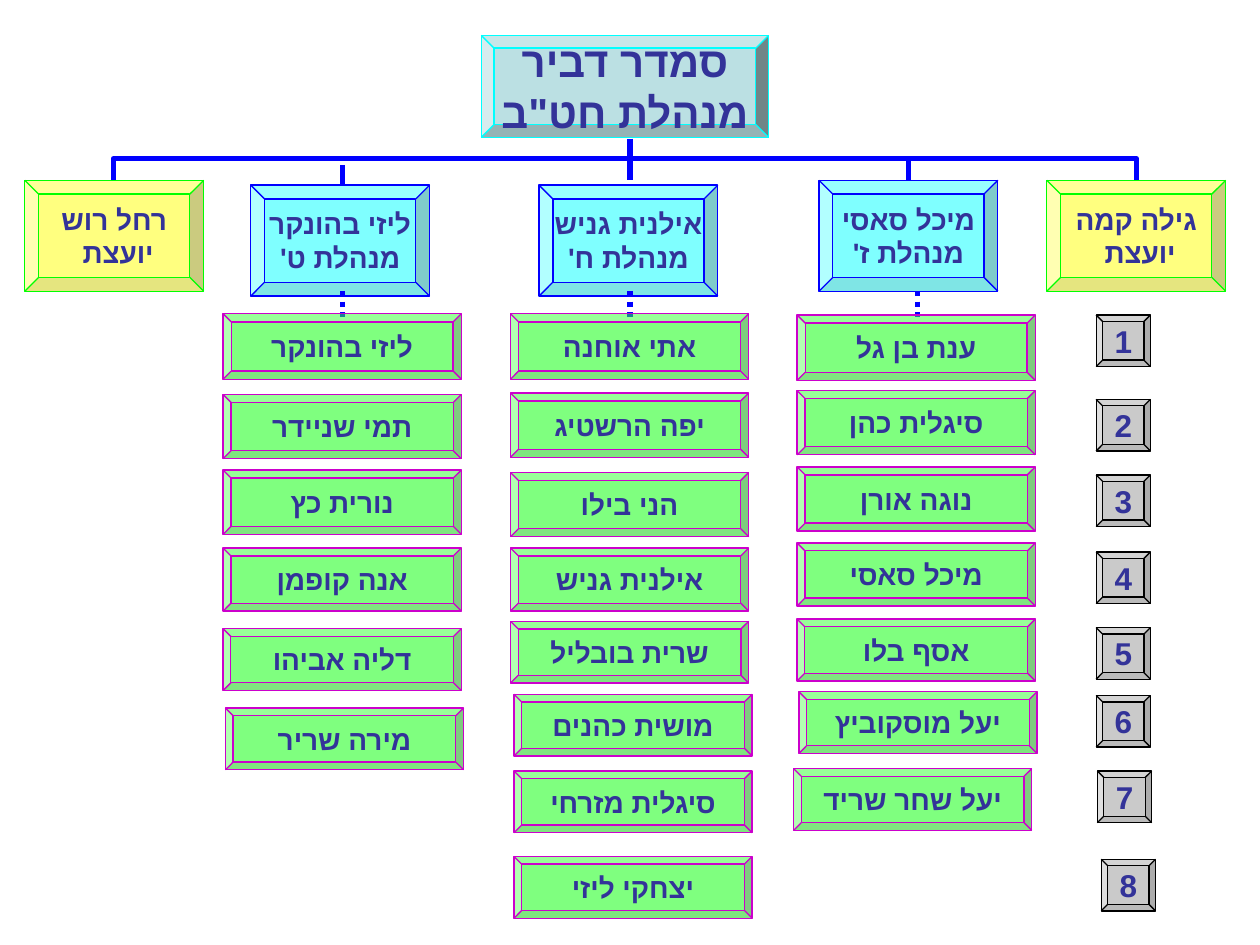
"""Builds an organisation chart of a middle school's staff, one column per grade."""
from pptx import Presentation
from pptx.dml.color import RGBColor
from pptx.enum.dml import MSO_LINE
from pptx.enum.shapes import MSO_CONNECTOR, MSO_SHAPE
from pptx.enum.text import MSO_ANCHOR, PP_ALIGN
from pptx.oxml.ns import qn
from pptx.util import Pt
from lxml.etree import SubElement

FONT, TEXT, BLUE = "Arial", "333399", "0000FF"

HEAD = ["סמדר דביר", "מנהלת חט\"ב"]
MANAGERS = [
    (["מיכל סאסי", "מנהלת ז'"], 468, 103),
    (["ליזי בהונקר", "מנהלת ט'"], 143.3, 105.8),
    (["אילנית גניש", "מנהלת ח'"], 308, 105.8),
]
COUNSELORS = [
    (["גילה קמה", "יועצת "], 598.2, 103),
    (["רחל רוש", "יועצת "], 14.2, 103),
]
TEACHERS = [
    (127.5,
     ["ליזי בהונקר", "תמי שניידר", "נורית כץ", "אנה קופמן", "דליה אביהו", "מירה שריר"],
     [179.3, 225.4, 268.6, 313.2, 359.3, 404.6],
     {5: 1.3}),
    (291.7,
     ["אתי אוחנה", "יפה הרשטיג", "הני בילו", "אילנית גניש", "שרית בובליל",
      "מושית כהנים", "סיגלית מזרחי", "יצחקי ליזי"],
     [179.3, 224.6, 270, 313.2, 355, 396.7, 440.6, 489.4],
     {5: 2, 6: 2, 7: 2}),
    (455.5,
     ["ענת בן גל", "סיגלית כהן", "נוגה אורן", "מיכל סאסי", "אסף בלו",
      "יעל מוסקוביץ", "יעל שחר שריד"],
     [180, 223.2, 266.8, 310.3, 353.8, 395.3, 439.2],
     {5: 1, 6: -2}),
]
TEACHER_HEIGHTS = [37.4, 36.7, 36.7, 36, 35.3, 35.3, 35.3, 35.3]
NUMBER_LEFT = 626.4
NUMBER_TOPS = [180, 228.2, 271.4, 315.4, 358.6, 397.4, 440.6, 491]
NUMBER_SHIFTS = {6: 0.7, 7: 2.9}

RAIL = 90.7
ELBOWS = [(361.4, 64.8), (360, 649.4)]
STEMS = [(360, 79.2, 103), (519.1, 92.2, 103), (195.8, 94.3, 105.1)]
DOTTED_STEMS = [(x, 166.3, 181.4) for x in (195.8, 360, 524.2)]


def rgb(color):
    """Turn a hex string into a colour."""
    return RGBColor.from_string(color)


def add_box(slide, lines, left, top, width, height, fill, edge, size=16, alpha=50):
    """Add a bevelled box with centred right-to-left text."""
    s = slide.shapes.add_shape(MSO_SHAPE.BEVEL, Pt(left), Pt(top), Pt(width), Pt(height))
    s.shadow.inherit = False
    s.fill.solid()
    s.fill.fore_color.rgb = rgb(fill)
    if alpha < 100:
        clr = s.fill._xPr.find(qn("a:solidFill"))[0]
        SubElement(clr, qn("a:alpha")).set("val", str(alpha * 1000))
    s.line.color.rgb = rgb(edge)
    s.line.width = Pt(0.75)
    tf = s.text_frame
    tf.word_wrap = False
    tf.vertical_anchor = MSO_ANCHOR.MIDDLE
    for i, line in enumerate(lines):
        p = tf.add_paragraph() if i else tf.paragraphs[0]
        p.alignment = PP_ALIGN.CENTER
        p._p.get_or_add_pPr().set("rtl", "1")
        r = p.add_run()
        r.text = line
        r.font.name, r.font.size, r.font.bold = FONT, Pt(size), True
        r.font.color.rgb = rgb(TEXT)
        SubElement(r._r.get_or_add_rPr(), qn("a:cs")).set("typeface", FONT)


def add_line(slide, x1, y1, x2, y2, kind=MSO_CONNECTOR.STRAIGHT, dash=None):
    """Add a thick blue connector without a shadow."""
    s = slide.shapes.add_connector(kind, Pt(x1), Pt(y1), Pt(x2), Pt(y2))
    s.line.color.rgb = rgb(BLUE)
    s.line.width = Pt(3)
    if dash:
        s.line.dash_style = dash
    spPr = s._element.spPr
    SubElement(spPr, qn("a:effectLst"))
    if kind == MSO_CONNECTOR.ELBOW:
        spPr.find(qn("a:prstGeom")).set("prst", "bentConnector2")


def main():
    """Draw the chart and save it."""
    prs = Presentation()
    prs.slide_width, prs.slide_height = Pt(720), Pt(540)
    slide = prs.slides.add_slide(prs.slide_layouts[6])

    add_box(slide, HEAD, 275, 20.2, 164.2, 58.3, "BBE0E3", "00FFFF", 24, 100)
    for people, fill, edge in ((MANAGERS, "00FFFF", BLUE), (COUNSELORS, "FFFF00", "00FF00")):
        for lines, left, top in people:
            add_box(slide, lines, left, top, 102.2, 63.4, fill, edge)

    for x, y1, y2 in DOTTED_STEMS:
        add_line(slide, x, y1, x, y2, dash=MSO_LINE.ROUND_DOT)
    for x1, x2 in ELBOWS:
        add_line(slide, x1, RAIL, x2, 103, MSO_CONNECTOR.ELBOW)
    for x, y1, y2 in STEMS:
        add_line(slide, x, y1, x, y2)

    for left, names, tops, shifts in TEACHERS:
        for i, (name, top, height) in enumerate(zip(names, tops, TEACHER_HEIGHTS)):
            add_box(slide, [name], left + shifts.get(i, 0), top, 136.1, height,
                    "00FF00", "CC00CC")
    for i, top in enumerate(NUMBER_TOPS):
        add_box(slide, [str(i + 1)], NUMBER_LEFT + NUMBER_SHIFTS.get(i, 0), top, 31, 29.5,
                "969696", "000000", 18)

    prs.save("out.pptx")


if __name__ == "__main__":
    main()
